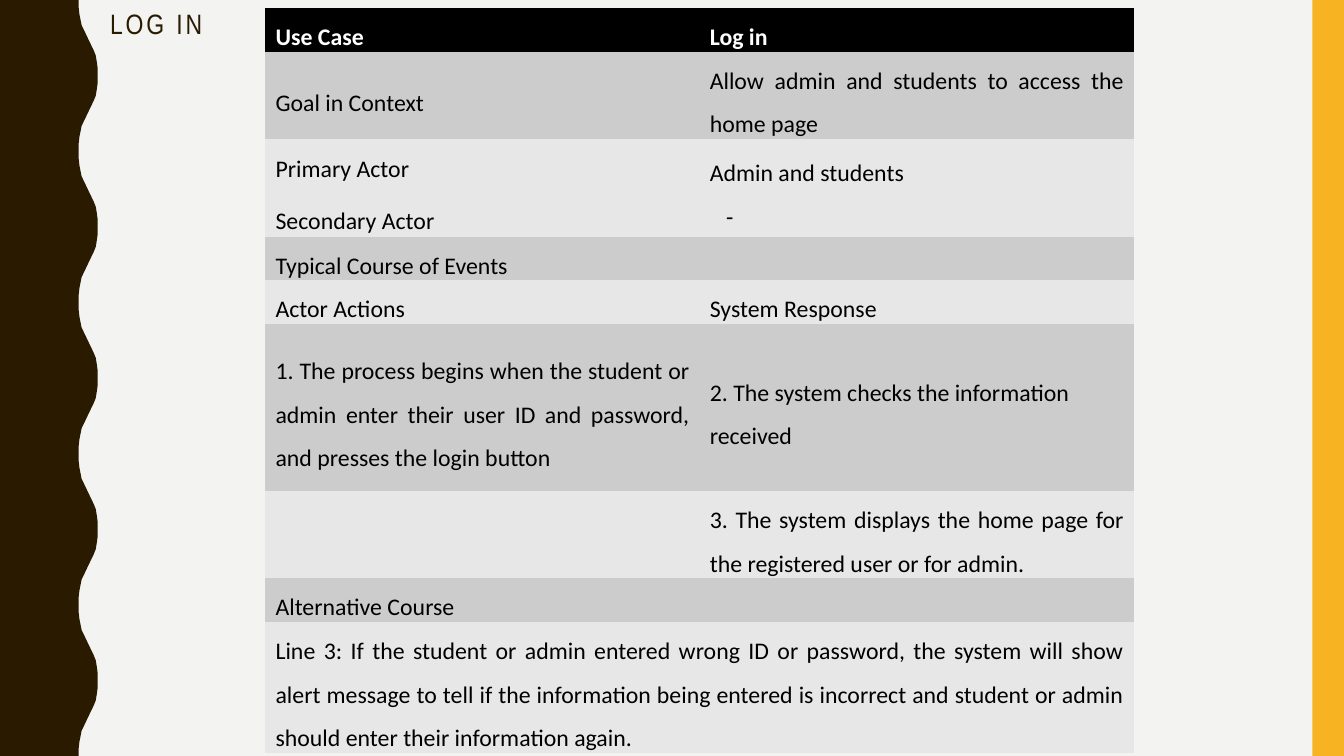
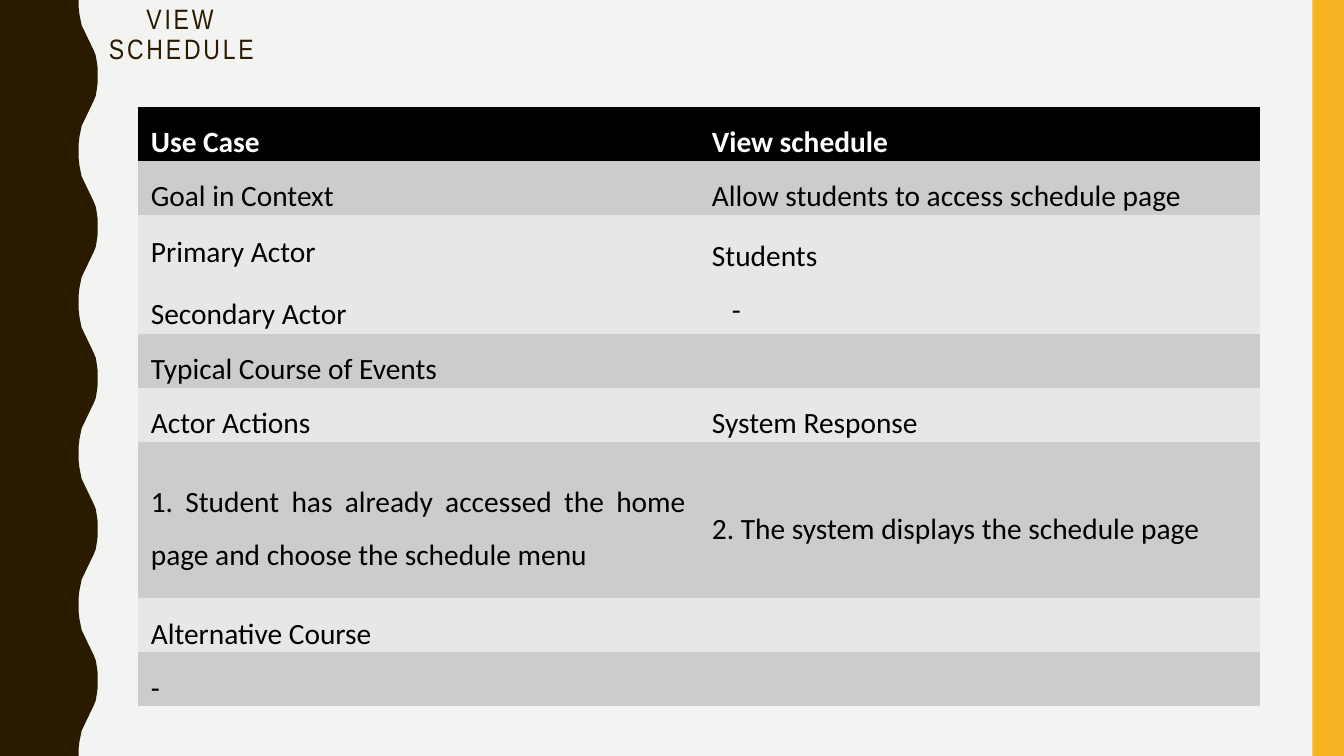
"""Build two use case slides with a shared wavy backdrop."""
from pptx import Presentation
from pptx.dml.color import RGBColor
from pptx.enum.shapes import MSO_SHAPE
from pptx.enum.text import MSO_ANCHOR, MSO_AUTO_SIZE, PP_ALIGN
from pptx.util import Inches, Pt

COLUMNS, ROWS = 160, 90
CELL = Inches(7.5) / ROWS
DARK, AMBER, PAPER = "2A1A00", "F8B323", "F3F3F2"
BLACK, WHITE, BANDS = "000000", "FFFFFF", ("E7E7E7", "CCCCCC")
NO_GRID_STYLE = "{2D5ABB26-0587-4C30-8999-92F81FD0307C}"
HALF_WAVE = [(0, 0), (0, 0.8), (0.1, 1.7), (0.24, 2.4), (0.36, 3),
             (0.6, 3.5), (0.84, 4), (1.08, 4.5), (1.32, 5), (1.56, 5.5),
             (1.8, 6), (2.04, 6.6), (2.16, 7.3), (2.28, 8.2), (2.28, 9)]
TITLE_FONT = {"name": "Arial Narrow", "size": Pt(20), "bold": False}
TITLE_FRAME = {"word_wrap": True, "auto_size": MSO_AUTO_SIZE.NONE,
               "vertical_anchor": MSO_ANCHOR.MIDDLE}
TITLE_PARAGRAPH = {"alignment": PP_ALIGN.CENTER, "line_spacing": 0.9,
                   "space_before": Pt(0)}

ACTORS = "Primary Actor\nSecondary Actor"
USE_CASES = [
    {
        "title": "LOG IN", "title_box": (9.6, 0, 18, 6),
        "corner": (31.6, 1), "column": 51.7, "size": 17, "margin": 0.1,
        "steps": [
            (4.9, "Use Case", "Log in"),
            (9.9, "Goal in Context",
             "Allow admin and students to access the home page"),
            (11.6, ACTORS, "Admin and students\n-"),
            (4.9, "Typical Course of Events"),
            (4.9, "Actor Actions", "System Response"),
            (19.9, "1. The process begins when the student or admin enter "
             "their user ID and password, and presses the login button",
             "2. The system checks the information received"),
            (9.9, "", "3. The system displays the home page for the "
             "registered user or for admin."),
            (4.9, "Alternative Course"),
            (14.9, "Line 3: If the student or admin entered wrong ID or "
             "password, the system will show alert message to tell if the "
             "information being entered is incorrect and student or admin "
             "should enter their information again."),
        ],
    },
    {
        "title": "VIEW SCHEDULE", "title_box": (9.6, 1.2, 24, 6),
        "corner": (16.4, 12.7), "column": 66.8, "size": 21, "margin": 0.13,
        "steps": [
            (6.2, "Use Case", "View schedule"),
            (6.2, "Goal in Context", "Allow students to access schedule page"),
            (14.2, ACTORS, "Students\n-"),
            (6.2, "Typical Course of Events"),
            (6.2, "Actor Actions", "System Response"),
            (18.6, "1. Student has already accessed the home page and choose "
             "the schedule menu", "2. The system displays the schedule page"),
            (6.2, "Alternative Course"),
            (6.2, "-"),
        ],
    },
]


def color(code):
    return RGBColor.from_string(code)


def grid(*units):
    return [round(unit * CELL) for unit in units]


def apply(target, values):
    for name, value in values.items():
        setattr(target, name, value)


def paint(part, code):
    part.fill.solid()
    part.fill.fore_color.rgb = color(code)


class UseCaseDeck:
    def __init__(self):
        self.deck = Presentation()
        apply(self.deck, {"slide_width": Inches(13.333),
                          "slide_height": Inches(7.5)})
        self.master = self.deck.slide_master
        paint(self.master.background, PAPER)
        self.slide = None

    def add_slide(self):
        self.slide = self.deck.slides.add_slide(self.deck.slide_layouts[5])
        if len(self.deck.slides) == 1:
            self.add_wave()
            self.add_side_bar()

    def move_to_master(self, backdrop, code):
        paint(backdrop, code)
        backdrop.line.fill.background()
        backdrop.shadow.inherit = False
        tree = self.master.shapes.element
        next_id = max(int(known) for known in tree.xpath(".//p:cNvPr/@id")) + 1
        backdrop.element.xpath(".//p:cNvPr")[0].set("id", str(next_id))
        tree.insert(2, backdrop.element)

    def add_wave(self):
        edge = []
        for half in range(ROWS // 9):
            if half % 2:
                edge += [(9.36 + depth, 9 * (half + 1) - row)
                         for depth, row in reversed(HALF_WAVE)]
            else:
                edge += [(9.36 + depth, 9 * half + row)
                         for depth, row in HALF_WAVE]
        outline = self.slide.shapes.build_freeform(0, 0)
        outline.add_line_segments([grid(*point) for point in edge + [(0, ROWS)]])
        self.move_to_master(outline.convert_to_shape(), DARK)

    def add_side_bar(self):
        bar = self.slide.shapes.add_shape(
            MSO_SHAPE.RECTANGLE, *grid(COLUMNS - 3.75, 0, 3.75, ROWS))
        self.move_to_master(bar, AMBER)

    def add_title(self, wording, box):
        title = self.slide.shapes.title
        apply(title, dict(zip(("left", "top", "width", "height"), grid(*box))))
        title.text_frame.text = wording
        apply(title.text_frame, TITLE_FRAME)
        heading = title.text_frame.paragraphs[0]
        apply(heading, TITLE_PARAGRAPH)
        apply(heading.runs[0].font, TITLE_FONT)
        heading.runs[0].font.color.rgb = color(DARK)
        title.element.xpath(".//a:rPr")[0].set("spc", "200")

    def add_steps(self, steps, corner, column, size, margin):
        height = sum(step[0] for step in steps)
        frame = self.slide.shapes.add_table(
            len(steps), 2, *grid(*corner, 2 * column, height))
        frame.element.xpath(".//a:tableStyleId")[0].text = NO_GRID_STYLE
        for index, (row_height, *wordings) in enumerate(steps):
            row = frame.table.rows[index]
            row.height = grid(row_height)[0]
            for cell in row.cells:
                paint(cell, BANDS[index % 2] if index else BLACK)
            if len(wordings) == 1:
                row.cells[0].merge(row.cells[1])
            for side, wording in enumerate(wordings):
                self.fill_cell(row.cells[side], wording, side, index == 0,
                               size, margin)
        for dash in frame.element.xpath(
                './/a:p[a:r/a:t="-"][preceding-sibling::a:p]/a:pPr'):
            dash.set("marL", str(Pt(0.68 * size)))

    def fill_cell(self, cell, wording, side, is_header, size, margin):
        apply(cell, {"margin_left": Inches(margin), "margin_top": 0,
                     "margin_right": Inches(margin), "margin_bottom": 0,
                     "vertical_anchor": MSO_ANCHOR.MIDDLE})
        cell.text_frame.text = wording
        is_reply = wording.startswith("2.")
        for line in cell.text_frame.paragraphs:
            apply(line, {
                "alignment": PP_ALIGN.LEFT if is_reply else PP_ALIGN.JUSTIFY,
                "line_spacing": 1.5, "space_after": Pt(0 if side else 6)})
            for run in line.runs:
                apply(run.font, {"name": "Calibri", "size": Pt(size),
                                 "bold": is_header})
                run.font.color.rgb = color(WHITE if is_header else BLACK)


def main():
    builder = UseCaseDeck()
    for case in USE_CASES:
        builder.add_slide()
        builder.add_title(case["title"], case["title_box"])
        builder.add_steps(case["steps"], case["corner"], case["column"],
                          case["size"], case["margin"])
    builder.deck.save("out.pptx")


if __name__ == "__main__":
    main()
